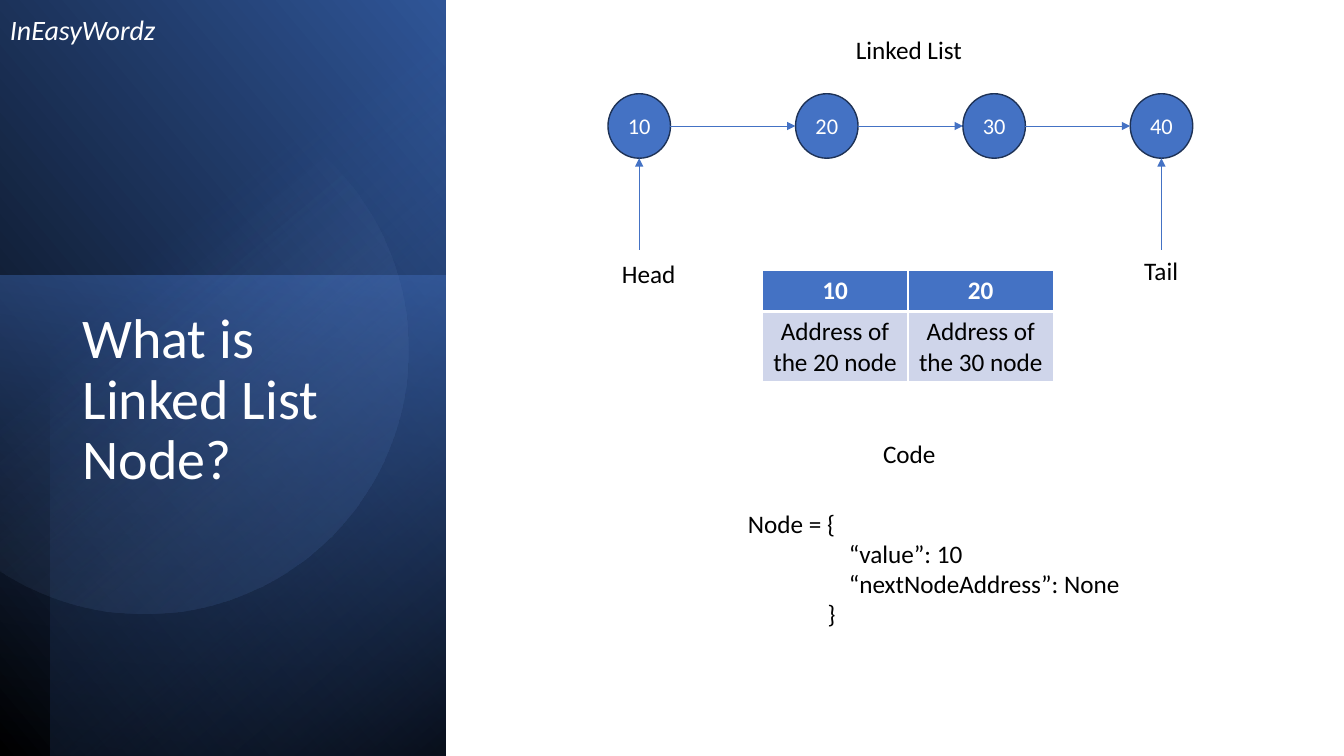
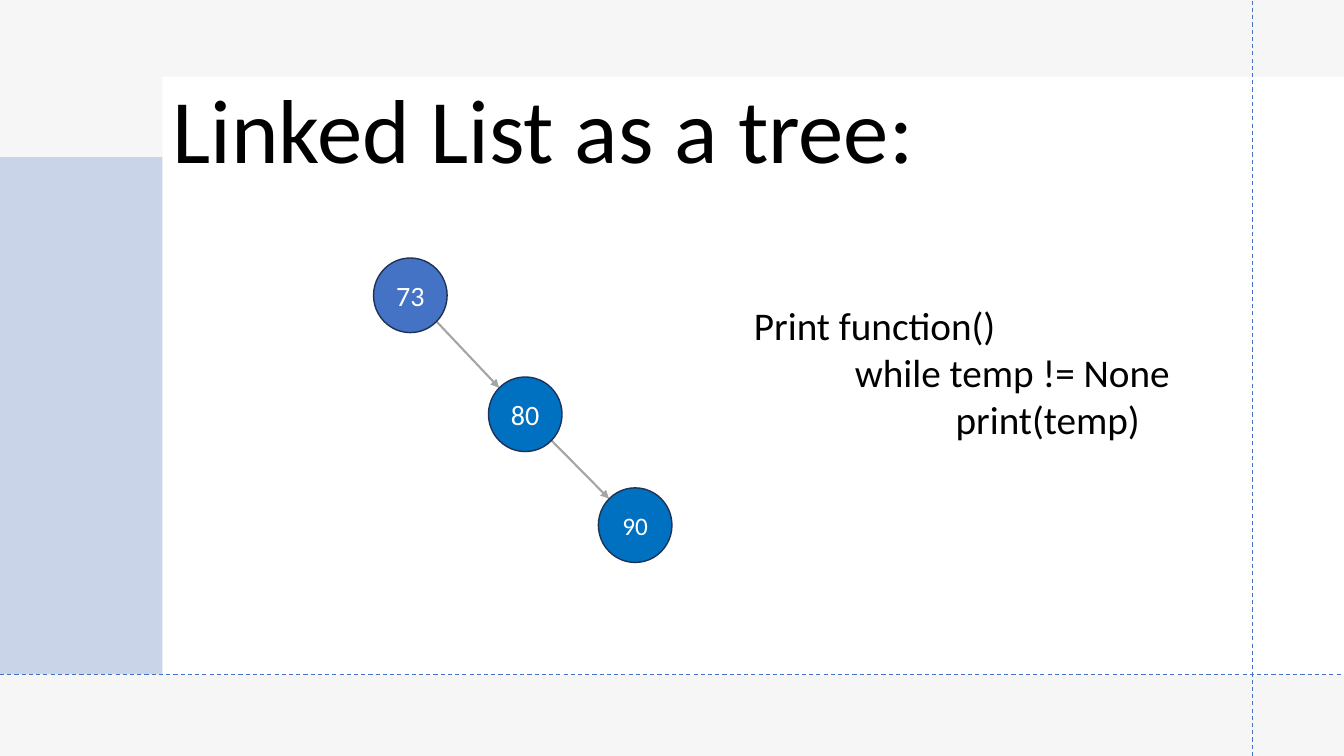
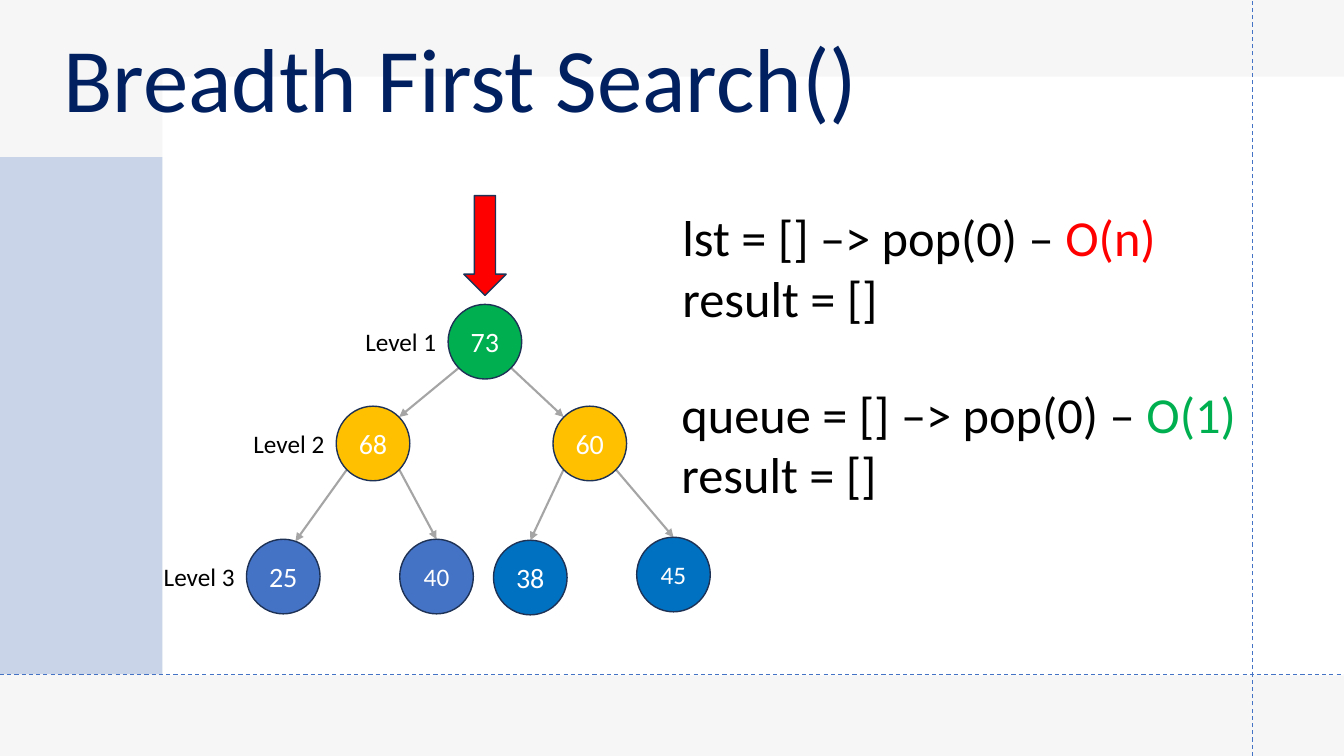
"""Build three slides on linked lists and breadth first search."""
import math
from dataclasses import dataclass
from itertools import pairwise

from lxml import etree
from pptx import Presentation
from pptx.dml.color import RGBColor
from pptx.enum.dml import MSO_LINE
from pptx.enum.shapes import MSO_CONNECTOR, MSO_SHAPE
from pptx.enum.text import MSO_ANCHOR, PP_ALIGN
from pptx.oxml.ns import qn
from pptx.util import Inches, Pt

RECT, OVAL, DOWN_ARROW = MSO_SHAPE.RECTANGLE, MSO_SHAPE.OVAL, MSO_SHAPE.DOWN_ARROW
STRAIGHT = MSO_CONNECTOR.STRAIGHT
DASH = MSO_LINE.DASH
LEFT, CENTER = PP_ALIGN.LEFT, PP_ALIGN.CENTER
TOP, MIDDLE, BOTTOM = MSO_ANCHOR.TOP, MSO_ANCHOR.MIDDLE, MSO_ANCHOR.BOTTOM


@dataclass(frozen=True)
class Theme:
    """Colours, type sizes and measures shared by the slides."""

    font: str = "Calibri"
    black: str = "000000"
    white: str = "FFFFFF"
    blue: str = "4472C4"
    deep_blue: str = "2F5597"
    dark_blue: str = "203864"
    pale_blue: str = "8FAADC"
    bright_blue: str = "0070C0"
    navy: str = "002060"
    outline: str = "1E3256"
    mist: str = "E7E6E6"
    cell: str = "CFD5EA"
    edge: str = "A5A5A5"
    red: str = "FF0000"
    green: str = "00B050"
    amber: str = "FFC000"
    title: float = 64.8
    cover: float = 40
    big_code: float = 36
    code: float = 28
    brand: float = 20
    node: float = 20
    body: float = 18
    small_node: float = 16
    node_width: float = 0.73
    node_height: float = 0.74


T = Theme()


def rgb(value):
    """Return a hex string as a colour."""
    return RGBColor.from_string(value)


def write(tf, paras, size=T.body, color=T.black, bold=False, italic=False,
          align=LEFT, spacing=None, indents=()):
    """Fill a text frame; a paragraph is a string or a list of (text, colour)."""
    for i, para in enumerate(paras):
        p = tf.paragraphs[0] if i == 0 else tf.add_paragraph()
        if indents and indents[i]:
            p._p.get_or_add_pPr().set("marL", str(Inches(indents[i])))
        p.alignment = align
        if spacing:
            p.line_spacing = spacing
        for text, run_color in [(para, color)] if isinstance(para, str) else para:
            r = p.add_run()
            r.text = text
            r.font.name, r.font.size = T.font, Pt(size)
            r.font.bold, r.font.italic = bold, italic
            r.font.color.rgb = rgb(run_color)


def add_text(slide, box, paras, anchor=TOP, wrap=False, **style):
    """Add a text box."""
    tf = slide.shapes.add_textbox(*map(Inches, box)).text_frame
    tf.word_wrap = wrap
    tf.vertical_anchor = anchor
    write(tf, paras, **style)


def add_title(slide, box, text, color=T.black):
    """Add the large heading of a tree slide."""
    add_text(slide, box, [text], anchor=BOTTOM, wrap=True, size=T.title,
             color=color, spacing=0.9)


def set_alpha(sp, *percents):
    """Set the opacity of each fill colour in order."""
    for clr, percent in zip(sp.element.iter(qn("a:srgbClr")), percents):
        etree.SubElement(clr, qn("a:alpha")).set("val", str(percent * 1000))


def paint_gradient(sp, angle, *stops):
    """Fill with two (position, colour, opacity) stops at a clockwise angle."""
    sp.shadow.inherit = False
    sp.line.fill.background()
    sp.fill.gradient()
    sp.fill.gradient_angle = 360 - angle
    for stop, (position, color, _) in zip(sp.fill.gradient_stops, stops):
        stop.color.rgb = rgb(color)
        stop.position = position / 100
    set_alpha(sp, *(opacity for _, _, opacity in stops))


def add_shape(slide, kind, box, fill, line=None, alpha=None):
    """Add a plain filled shape."""
    sp = slide.shapes.add_shape(kind, *map(Inches, box))
    sp.shadow.inherit = False
    sp.fill.solid()
    sp.fill.fore_color.rgb = rgb(fill)
    if alpha:
        set_alpha(sp, alpha)
    if line:
        sp.line.color.rgb = rgb(line)
        sp.line.width = Pt(1)
    else:
        sp.line.fill.background()
    return sp


def add_node(slide, center, text, fill=T.blue, size=T.node,
             width=T.node_width, height=T.node_height):
    """Add a circle with a value, placed by its centre."""
    x, y = center
    box = (x - width / 2, y - height / 2, width, height)
    tf = add_shape(slide, OVAL, box, fill, T.outline).text_frame
    tf.margin_left = tf.margin_right = tf.margin_top = tf.margin_bottom = 0
    tf.vertical_anchor = MIDDLE
    write(tf, [text], size=size, color=T.white, align=CENTER)


def add_line(slide, start, end, color=T.blue, width=0.5, dash=None, arrow=True):
    """Add a straight line, with an arrowhead at its end unless told not to."""
    cx = slide.shapes.add_connector(STRAIGHT, *map(Inches, (*start, *end)))
    cx.line.color.rgb = rgb(color)
    cx.line.width = Pt(width)
    if dash:
        cx.line.dash_style = dash
    if arrow:
        etree.SubElement(cx.line._get_or_add_ln(), qn("a:tailEnd")).set("type", "triangle")
    etree.SubElement(cx.element.spPr, qn("a:effectLst"))


def add_edge(slide, parent, child, landing):
    """Join a parent's lower rim to the child's upper rim at a sideways offset."""
    radius = T.node_height / 2
    reach = radius * math.sqrt(0.5)
    side = 1 if child[0] > parent[0] else -1
    start = (parent[0] + side * reach, parent[1] + reach)
    end = (child[0] + landing, child[1] - math.sqrt(radius**2 - landing**2))
    add_line(slide, start, end, T.edge, 1.5)


def add_tree(slide, nodes, edges):
    """Draw nodes given as value: (centre, fill, size) and the edges between them."""
    for parent, child, landing in edges:
        add_edge(slide, nodes[parent][0], nodes[child][0], landing)
    for value, (center, fill, size) in nodes.items():
        add_node(slide, center, value, fill, size)


def set_borders(cell, **widths):
    """Give a cell white borders with the given widths by side."""
    tc_pr = cell._tc.get_or_add_tcPr()
    for side in "LRTB":
        ln = etree.SubElement(tc_pr, qn(f"a:ln{side}"), w=str(Pt(widths.get(side, 1))))
        fill = etree.SubElement(ln, qn("a:solidFill"))
        etree.SubElement(fill, qn("a:srgbClr"), val=T.white)


def add_node_table(slide, box, rows, heights):
    """Add a table with a header row."""
    table = slide.shapes.add_table(len(rows), len(rows[0]), *map(Inches, box)).table
    for i, (row, height) in enumerate(zip(rows, heights)):
        table.rows[i].height = Inches(height)
        header = i == 0
        for j, text in enumerate(row):
            cell = table.cell(i, j)
            set_borders(cell, **({"B": 3} if header else {"T": 3}))
            cell.fill.solid()
            cell.fill.fore_color.rgb = rgb(T.blue if header else T.cell)
            write(cell.text_frame, [text], color=T.white if header else T.black,
                  bold=header, align=CENTER)


def add_cover_panel(slide):
    """Draw the layered gradient panel on the left."""
    layers = [
        ((0, 0, 4.42, 7.5), 320, (0, T.black, 100), (100, T.deep_blue, 100)),
        ((0, 2.73, 4.42, 4.77), 100, (0, T.blue, 50), (100, T.dark_blue, 0)),
        ((0.5, 0, 3.92, 7.5), 230, (0, T.black, 59), (69, T.blue, 0)),
    ]
    for box, angle, *stops in layers:
        sp = slide.shapes.add_shape(RECT, *map(Inches, box))
        paint_gradient(sp, angle, *stops)
    x, y, radius, steps = 1.43, 3.47, 2.62, 120
    limit = math.acos(-x / radius)
    angles = [limit * (2 * i / steps - 1) for i in range(steps + 1)]
    points = [(Inches(x + radius * math.cos(a)), Inches(y + radius * math.sin(a)))
              for a in angles]
    builder = slide.shapes.build_freeform(*points[0])
    builder.add_line_segments(points[1:], close=True)
    paint_gradient(builder.convert_to_shape(), 50,
                   (39, T.pale_blue, 0), (100, T.deep_blue, 26))


def add_frame(slide):
    """Draw the grey border, side band and dashed guides of a tree slide."""
    add_shape(slide, RECT, (0, 0, 13.33, 7.5), T.mist, alpha=35)
    add_shape(slide, RECT, (1.61, 0.76, 11.72, 5.94), T.white)
    for start, end in [((12.42, 7.5), (12.42, 0)), ((0, 6.69), (13.33, 6.69))]:
        add_line(slide, start, end, width=0.75, dash=DASH, arrow=False)
    add_shape(slide, RECT, (0, 1.56, 1.61, 5.13), T.blue, alpha=25)


def build_node_slide(slide):
    """Explain what a linked list node is."""
    add_cover_panel(slide)
    add_text(slide, (0.72, 3.03, 3.15, 3.36), ["What is Linked List Node?"],
             wrap=True, size=T.cover, color=T.white, spacing=0.9)
    add_text(slide, (0, -0.02, 2.4, 0.53), ["InEasyWordz"], anchor=BOTTOM,
             wrap=True, size=T.brand, color=T.white, italic=True, spacing=0.9)

    y, width, height = 1.25, 0.62, 0.64
    centers = [6.34, 8.2, 9.86, 11.52]
    for x, value in zip(centers, ("10", "20", "30", "40")):
        add_node(slide, (x, y), value, size=T.small_node, width=width, height=height)
    for x, following in pairwise(centers):
        add_line(slide, (x + width / 2, y), (following - width / 2, y))
    for x in (centers[0], centers[-1]):
        add_line(slide, (x, 2.48), (x, y + height / 2))

    labels = [
        ("Linked List", (8.39, 0.29, 1.27, 0.4)),
        ("Head", (6.07, 2.51, 0.74, 0.4)),
        ("Tail", (11.25, 2.48, 0.54, 0.4)),
        ("Code", (8.66, 4.3, 0.73, 0.4)),
    ]
    for text, box in labels:
        add_text(slide, box, [text])
    add_node_table(slide, (7.56, 2.68, 2.89, 1.11),
                   [("10", "20"), ("Address of the 20 node", "Address of the 30 node")],
                   (0.41, 0.7))
    add_text(slide, (7.32, 4.99, 3.93, 1.31),
             ["Node = {", "“value”: 10", "“nextNodeAddress”: None", "}"],
             indents=(0, 1, 1, 0.79))


def build_list_tree_slide(slide):
    """Show a linked list drawn as a tree."""
    add_frame(slide)
    nodes = {
        "73": ((4.07, 2.93), T.blue, T.node),
        "80": ((5.21, 4.11), T.bright_blue, T.node),
        "90": ((6.3, 5.21), T.bright_blue, T.body),
    }
    add_tree(slide, nodes, [("73", "80", -0.26), ("80", "90", -0.26)])
    add_title(slide, (1.61, 0.7, 7.65, 1.17), "Linked List as a tree:")
    add_text(slide, (7.38, 2.94, 4.37, 1.51),
             ["Print function()", "while temp != None", "print(temp)"],
             size=T.code, indents=(0, 1, 2))


def build_search_slide(slide):
    """Show breadth first search and the cost of its containers."""
    add_frame(slide)
    nodes = {
        "73": ((4.81, 3.39), T.green, T.node),
        "68": ((3.7, 4.4), T.amber, T.node),
        "60": ((5.85, 4.4), T.amber, T.node),
        "25": ((2.81, 5.72), T.blue, T.node),
        "40": ((4.33, 5.72), T.blue, T.body),
        "38": ((5.26, 5.73), T.bright_blue, T.node),
        "45": ((6.68, 5.7), T.bright_blue, T.body),
    }
    edges = [
        ("73", "68", 0.26), ("73", "60", -0.26), ("68", "25", 0.12),
        ("68", "40", 0), ("60", "38", 0), ("60", "45", 0),
    ]
    add_tree(slide, nodes, edges)
    add_shape(slide, DOWN_ARROW, (4.6, 1.94, 0.42, 0.99), T.red, T.outline)
    for level, value in enumerate(("73", "68", "25"), 1):
        x, y = nodes[value][0]
        add_text(slide, (x - T.node_width / 2 - 0.92, y - 0.2, 0.92, 0.4),
                 [f"Level {level}"])
    add_title(slide, (0.53, 0.19, 8.91, 1.17), "Breadth First Search()", T.navy)
    containers = [
        ("lst", "O(n)", T.red, (6.67, 2, 4.93, 1.31)),
        ("queue", "O(1)", T.green, (6.66, 3.75, 5.75, 1.31)),
    ]
    for name, cost, color, box in containers:
        add_text(slide, box,
                 [[(f"{name} = [] –> pop(0) – ", T.black), (cost, color)], "result = []"],
                 size=T.big_code)


def main():
    """Build and save the presentation."""
    prs = Presentation()
    prs.slide_width, prs.slide_height = Inches(13.33), Inches(7.5)
    for build in (build_node_slide, build_list_tree_slide, build_search_slide):
        build(prs.slides.add_slide(prs.slide_layouts[6]))
    prs.save("out.pptx")


if __name__ == "__main__":
    main()
